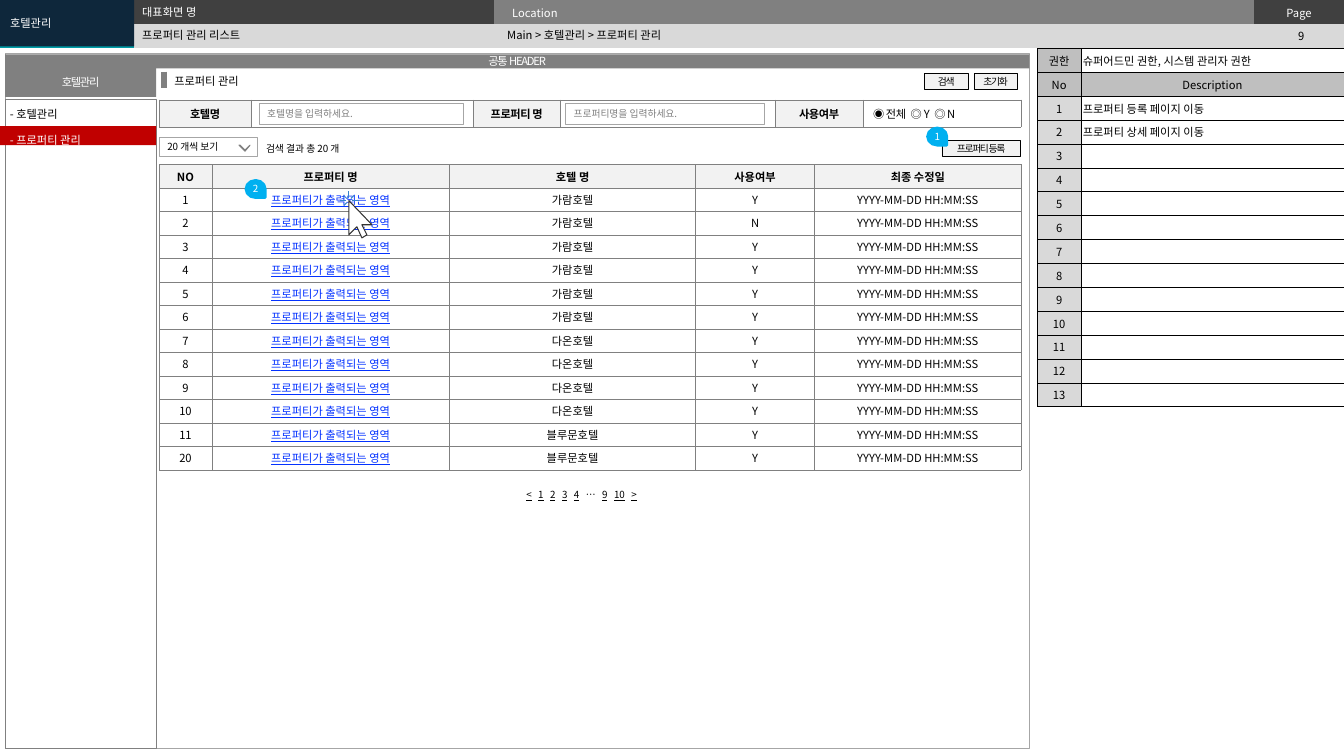
import pptx
import pptx.dml.color
import pptx.enum.shapes
import pptx.enum.text
import pptx.oxml.ns
import pptx.util
from lxml import etree

Inches, Pt = pptx.util.Inches, pptx.util.Pt
SHAPE = pptx.enum.shapes.MSO_SHAPE
ALIGN = pptx.enum.text.PP_ALIGN
qn = pptx.oxml.ns.qn
FONT = "Noto Sans CJK KR"
NO_STYLE = "{2D5ABB26-0587-4C30-8999-92F81FD0307C}"
GRAY, LIGHT, PALE, WHITE = "808080", "D9D9D9", "F2F2F2", "FFFFFF"

# Content
BANNER_FILLS = [["009CA6", "404040", GRAY, "404040"], ["009CA6", LIGHT, LIGHT, LIGHT]]
# placeholder index: text, box, colour
HEADINGS = {
    0: ("프로퍼티 관리 리스트", (1.31, 0.24, 3.63, 0.22), "000000"),
    1: ("대표화면 명", (1.31, 0, 3.62, 0.24), WHITE),
    2: ("Main > 호텔관리 > 프로퍼티 관리", (4.93, 0.23, 7.38, 0.24), "000000"),
    3: ("호텔관리", (0, 0, 1.33, 0.46), WHITE),
}
NOTES = ["프로퍼티 등록 페이지 이동", "프로퍼티 상세 페이지 이동"] + [""] * 11
DESCRIPTION = [("권한", "슈퍼어드민 권한, 시스템 관리자 권한"), ("No", "Description")]
DESCRIPTION += [(str(number), note) for number, note in enumerate(NOTES, 1)]
FILTERS = ["호텔명", "", "프로퍼티 명", "", "사용여부", ""]
USE_OPTIONS = [("◉ 전체", {}), (" ", {"spacing": 1.3}), ("◎ ", {}), ("Y", {}),
               (" ", {"spacing": 1.3}), ("◎ N", {})]
HOTELS = ["가람호텔"] * 6 + ["다온호텔"] * 4 + ["블루문호텔"] * 2
NUMBERS = [*range(1, 12), 20]
PROPERTIES = [("NO", "프로퍼티 명", "호텔 명", "사용여부", "최종 수정일")]
PROPERTIES += [(str(number), "프로퍼티가 출력되는 영역", hotel,
                "N" if number == 2 else "Y", "YYYY-MM-DD HH:MM:SS")
               for number, hotel in zip(NUMBERS, HOTELS)]
BUTTONS = [("초기화", (9.66, 0.73, 0.43, 0.16)), ("검색", (9.17, 0.73, 0.43, 0.16)),
           ("프로퍼티 등록", (9.34, 1.39, 0.78, 0.16))]
FIELDS = [("20 개씩 보기", (1.58, 1.36, 0.97, 0.19), "000000"),
          ("호텔명을 입력하세요.", (2.57, 1.03, 2.03, 0.2), GRAY),
          ("프로퍼티명을 입력하세요.", (5.61, 1.03, 1.97, 0.2), GRAY)]
BARS = [("공통 HEADER", (0.05, 0.54, 10.16, 0.14)), ("호텔관리", (0.05, 0.67, 1.5, 0.29))]
MARKERS = [("2", 2.45, 1.78), ("1", 9.21, 1.26)]
MENU = [("- 호텔관리", "000000"), ("- 프로퍼티 관리", WHITE)]
PAGES = ["<", "1", "2", "3", "4", "…", "9", "10", ">"]
# Outlines in hundredths of an inch
POINTER = [[(364, 233), (359, 223), (369, 223), (346, 199), (346, 233),
            (354, 225), (359, 236), (364, 233)]]
CLICK_RAYS = [[(344, 201), (341, 204)], [(344, 197), (341, 194)], [(348, 197), (351, 194)],
              [(343, 199), (337, 199)], [(346, 196), (346, 189)], [(349, 199), (356, 199)]]
CHEVRON = [[(248, 144), (243, 149), (238, 144), (237, 144), (243, 150), (248, 144)]]


def rgb(color):
    return pptx.dml.color.RGBColor.from_string(color)


def add_run(paragraph, text, size=8, color="000000", bold=False, underline=False, spacing=0):
    run = paragraph.add_run()
    run.text = text
    font = run.font
    font.name, font.size, font.bold, font.underline = FONT, Pt(size), bold, underline
    font.color.rgb = rgb(color)
    properties = run._r.get_or_add_rPr()
    etree.SubElement(properties, qn("a:ea")).set("typeface", FONT)
    if spacing:
        properties.set("spc", str(round(spacing * 100)))


def write(frame, text, align=ALIGN.LEFT, **style):
    frame.paragraphs[0].alignment = align
    add_run(frame.paragraphs[0], text, **style)


def set_frame(frame, side=0.1, wrap=True):
    frame.margin_left = frame.margin_right = Inches(side)
    frame.margin_top = frame.margin_bottom = 0
    frame.auto_size = pptx.enum.text.MSO_AUTO_SIZE.NONE
    frame.vertical_anchor = pptx.enum.text.MSO_ANCHOR.MIDDLE
    frame.word_wrap = wrap
    return frame


def paint(shape, fill=None, line=None, width=0.25):
    shape.shadow.inherit = False
    if fill:
        shape.fill.solid()
        shape.fill.fore_color.rgb = rgb(fill)
    else:
        shape.fill.background()
    if line:
        shape.line.color.rgb = rgb(line)
        shape.line.width = Pt(width)
    else:
        shape.line.fill.background()
    return shape


def add_box(box, kind=SHAPE.RECTANGLE, **look):
    return paint(slide.shapes.add_shape(kind, *map(Inches, box)), **look)


def add_label(box, **layout):
    return set_frame(slide.shapes.add_textbox(*map(Inches, box)).text_frame, **layout)


def add_outline(strokes, **look):
    builder = slide.shapes.build_freeform(*strokes[0][0], scale=Inches(0.01))
    for stroke in strokes:
        if stroke is not strokes[0]:
            builder.move_to(*stroke[0])
        builder.add_line_segments(stroke[1:], close=stroke[0] == stroke[-1])
    return paint(builder.convert_to_shape(), **look)


def add_grid(left, top, widths, height, rows, fills, border=None, side=0.1):
    """Add a plain table with equal rows; border is (colour, points)."""
    frame = slide.shapes.add_table(len(rows), len(widths), Inches(left), Inches(top),
                                   Inches(sum(widths)), Inches(height))
    grid = frame.table
    grid.first_row = grid.horz_banding = False
    grid._tbl.find(".//" + qn("a:tableStyleId")).text = NO_STYLE
    for column, width in zip(grid.columns, widths):
        column.width = Inches(width)
    for r, row in enumerate(rows):
        grid.rows[r].height = Inches(height / len(rows))
        for c, (text, style) in enumerate(row):
            cell = grid.cell(r, c)
            cell.margin_left = cell.margin_right = Inches(side)
            cell.margin_top = cell.margin_bottom = Inches(0.03)
            cell.vertical_anchor = pptx.enum.text.MSO_ANCHOR.MIDDLE
            cell.fill.solid()
            cell.fill.fore_color.rgb = rgb(fills[r][c])
            if text:
                write(cell.text_frame, text, **style)
            else:
                end = etree.SubElement(cell.text_frame.paragraphs[0]._p, qn("a:endParaRPr"))
                end.set("sz", "800")
            if border:
                for place, edge in enumerate(("lnL", "lnR", "lnT", "lnB")):
                    line = etree.Element(qn("a:" + edge), w=str(Pt(border[1])))
                    paint_line = etree.SubElement(line, qn("a:solidFill"))
                    etree.SubElement(paint_line, qn("a:srgbClr"), val=border[0])
                    cell._tc.get_or_add_tcPr().insert(place, line)
    return frame


deck = pptx.Presentation()
deck.slide_width, deck.slide_height = Inches(13.33), Inches(7.5)
slide = deck.slides.add_slide(deck.slide_layouts[4])
centered = {"align": ALIGN.CENTER}

# Top banner, behind the headings
banner_rows = [[("", {}), ("", {}), ("Location", {"color": WHITE}),
                ("Page", {"color": WHITE, **centered})], [("", {})] * 4]
banner = add_grid(0, 0, [1.33, 3.57, 7.54, 0.89], 0.48, banner_rows, BANNER_FILLS, side=0.18)
banner.table.cell(0, 0).merge(banner.table.cell(1, 0))
slide.shapes._spTree.insert(2, banner._element)
for heading in list(slide.placeholders):
    index = heading.placeholder_format.idx
    if index not in HEADINGS:
        heading._element.getparent().remove(heading._element)
        continue
    text, box, color = HEADINGS[index]
    heading.left, heading.top, heading.width, heading.height = map(Inches, box)
    if index == 3:
        heading.fill.solid()
        heading.fill.fore_color.rgb = rgb("0E273B")
    paragraph = set_frame(heading.text_frame).paragraphs[0]
    properties = paragraph._p.get_or_add_pPr()
    properties.set("marL", "0")
    properties.set("indent", "0")
    etree.SubElement(properties, qn("a:buNone"))
    paragraph.space_before = Pt(0)
    write(heading.text_frame, text, color=color)
write(add_label((12.48, 0.24, 0.85, 0.24)), "9", **centered)

# Screen frame and side menu
add_box((0.05, 0.53, 10.16, 6.89), line="A6A6A6")
add_box((0.05, 0.98, 1.5, 6.44), line=GRAY)
for text, box in BARS:
    write(set_frame(add_box(box, fill=GRAY).text_frame), text, color=WHITE, spacing=-0.9, **centered)
add_box((0, 1.25, 1.55, 0.19), fill="C00000")
menu = add_label((0, 0.94, 1.44, 0.54))
menu.vertical_anchor = pptx.enum.text.MSO_ANCHOR.TOP
for row, (text, color) in enumerate(MENU):
    entry = menu.add_paragraph() if row else menu.paragraphs[0]
    entry.line_spacing = Pt(18.6)
    add_run(entry, text, color=color)

# Section title
write(add_label((1.63, 0.68, 2.41, 0.24)), "프로퍼티 관리")
accent = slide.shapes.add_connector(pptx.enum.shapes.MSO_CONNECTOR.STRAIGHT,
                                    *map(Inches, (1.63, 0.71, 1.63, 0.87)))
accent.line.color.rgb, accent.line.width = rgb(GRAY), Pt(4.5)
etree.SubElement(accent._element.spPr, qn("a:effectLst"))

# Tables
description_rows = [[(number, centered), (note, centered if note == "Description" else {})]
                    for number, note in DESCRIPTION]
description_fills = [["BFBFBF", WHITE], ["BFBFBF"] * 2] + [[LIGHT, WHITE]] * len(NOTES)
add_grid(10.29, 0.48, [0.43, 2.61], 3.56, description_rows, description_fills, ("000000", 0.5), 0.02)
filter_style = {"bold": True, "spacing": -0.3, **centered}
filters = add_grid(1.58, 0.99, [0.91, 2.2, 0.87, 2.13, 0.87, 1.57], 0.27,
                   [[(text, filter_style) for text in FILTERS]], [[PALE, WHITE] * 3], (GRAY, 0.25))
for text, style in USE_OPTIONS:
    add_run(filters.table.cell(0, 5).text_frame.paragraphs[0], text, **{"spacing": -0.3, **style})
link = {"color": "0432FF", "underline": True, **centered}
property_rows = [[(text, {"bold": True, **centered} if r == 0 else link if c == 1 else centered)
                  for c, text in enumerate(row)] for r, row in enumerate(PROPERTIES)]
add_grid(1.58, 1.63, [0.52, 2.36, 2.44, 1.18, 2.05], 3.03, property_rows,
         [[PALE] * 5] + [[WHITE] * 5] * len(HOTELS), (GRAY, 0.25))

# Controls
for text, box in BUTTONS:
    button = add_box(box, fill=PALE, line="000000")
    write(set_frame(button.text_frame, side=0), text, size=7, spacing=-0.9, **centered)
for text, box, color in FIELDS:
    field = add_box(box, fill=WHITE, line="A6A6A6", width=0.5)
    write(set_frame(field.text_frame, side=0.08), text, size=7, color=color)
write(add_label((2.54, 1.36, 0.99, 0.22), wrap=False), "검색 결과 총 20 개", size=7)
add_outline(CHEVRON, fill="5F5F5F", line=GRAY, width=0.75)
pager = add_label((5.14, 4.81, 1.45, 0.2), side=0.08, wrap=False).paragraphs[0]
for position, page in enumerate(PAGES):
    if position:
        add_run(pager, " ", size=7, spacing=3.1)
    add_run(pager, page, size=7, underline=page != "…")

# Step markers and mouse pointer
for number, left, top in MARKERS:
    marker = add_box((left, top, 0.17, 0.19), SHAPE.TEAR, fill="00B0F0", line="00B0F0", width=2)
    marker.rotation = 90
    frame = set_frame(marker.text_frame, side=0)
    frame._txBody.bodyPr.set("vert", "vert270")
    write(frame, number, size=7, color=WHITE, **centered)
add_outline(POINTER, fill=WHITE, line="333333", width=0.75)
add_outline(CLICK_RAYS, line="3483CB", width=0.75)

deck.save("out.pptx")
